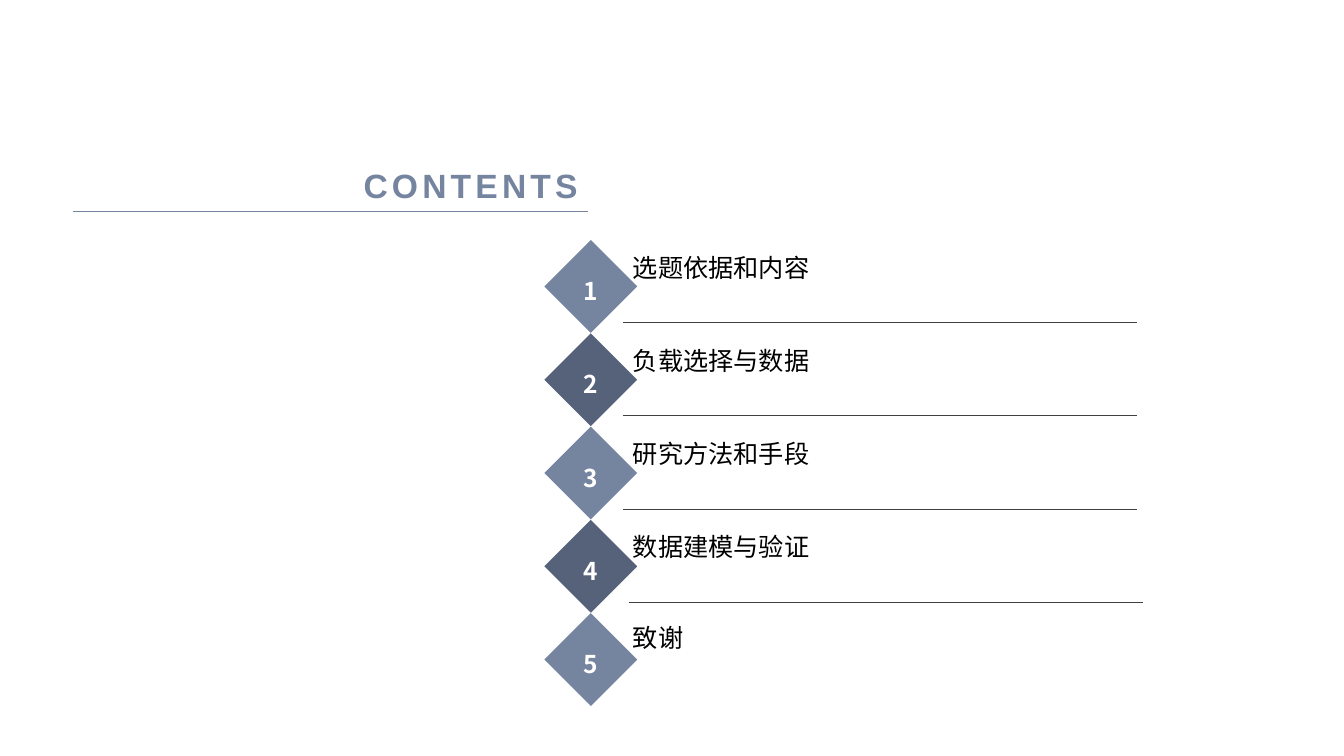
from dataclasses import dataclass

from lxml import etree
from pptx import Presentation
from pptx.dml.color import RGBColor
from pptx.enum.shapes import MSO_CONNECTOR, MSO_SHAPE
from pptx.enum.text import MSO_ANCHOR, MSO_AUTO_SIZE, PP_ALIGN
from pptx.oxml.ns import qn
from pptx.util import Cm, Pt

LEFT, CENTER, RIGHT = PP_ALIGN.LEFT, PP_ALIGN.CENTER, PP_ALIGN.RIGHT
MIDDLE, BOTTOM = MSO_ANCHOR.MIDDLE, MSO_ANCHOR.BOTTOM
DIAMOND, STRAIGHT = MSO_SHAPE.DIAMOND, MSO_CONNECTOR.STRAIGHT
NO_FIT = MSO_AUTO_SIZE.NONE


@dataclass(frozen=True)
class Theme:
    blue: str = "75849F"
    navy: str = "55627A"
    rule: str = "404040"
    ink: str = "000000"
    white: str = "FFFFFF"
    latin: str = "Arial"
    asian: str = "Noto Sans CJK SC"
    title: float = 24
    item: float = 18
    number: float = 17.5
    hair: float = 0.25


THEME = Theme()
TOPICS = ["选题依据和内容", "负载选择与数据", "研究方法和手段", "数据建模与验证", "致谢"]

# Layout in centimetres
STEP = 2.35
MARK_X, MARK_Y, MARK_SIZE = 13.72, 6.05, 2.34
ITEM_X, ITEM_Y, ITEM_W, ITEM_H = 15.7, 5.84, 15.72, 1.5
RULE_Y, RULE_W = 8.12, 12.96
HEAD_X, HEAD_Y, HEAD_W, HEAD_H = 1.83, 3.2, 12.98, 2.11


def color(code):
    return RGBColor.from_string(code)


def write(shape, text, *, size, ink, font=THEME.latin, bold=False, align=LEFT,
          anchor=MIDDLE, leading=1.2, track=0, foot=0.13):
    frame = shape.text_frame
    frame.word_wrap = True
    frame.auto_size = NO_FIT
    frame.vertical_anchor = anchor
    frame.margin_left = frame.margin_right = Cm(0.25)
    frame.margin_top, frame.margin_bottom = Cm(0.13), Cm(foot)
    para = frame.paragraphs[0]
    para.alignment, para.line_spacing = align, leading
    para.space_before = Pt(0)
    run = para.add_run()
    run.text = text
    run.font.size, run.font.bold = Pt(size), bold
    run.font.name = font
    run.font.color.rgb = color(ink)
    # East Asian font and letter spacing
    props = run.font._element
    etree.SubElement(props, qn("a:ea")).set("typeface", THEME.asian)
    if track:
        props.set("spc", str(track * 100))


def add_rule(slide, x, y, width, ink):
    line = slide.shapes.add_connector(STRAIGHT, Cm(x), Cm(y), Cm(x + width), Cm(y))
    line.line.color.rgb = color(ink)
    line.line.width = Pt(THEME.hair)
    etree.SubElement(line._element.spPr, qn("a:effectLst"))


def add_mark(slide, number, y, fill):
    mark = slide.shapes.add_shape(DIAMOND, Cm(MARK_X), Cm(y), Cm(MARK_SIZE), Cm(MARK_SIZE))
    mark.shadow.inherit = False
    mark.fill.solid()
    mark.fill.fore_color.rgb = color(fill)
    mark.line.fill.background()
    write(mark, str(number), size=THEME.number, ink=THEME.white, font=THEME.asian,
          bold=True, align=CENTER, leading=1.3)


def add_item(slide, text, y):
    box = slide.shapes.add_textbox(Cm(ITEM_X), Cm(y), Cm(ITEM_W), Cm(ITEM_H))
    write(box, text, size=THEME.item, ink=THEME.ink, foot=0)


def add_head(slide, text):
    head = slide.shapes.title
    head.left, head.top = Cm(HEAD_X), Cm(HEAD_Y)
    head.width, head.height = Cm(HEAD_W), Cm(HEAD_H)
    write(head, text, size=THEME.title, ink=THEME.blue, bold=True, align=RIGHT,
          anchor=BOTTOM, track=3)
    add_rule(slide, HEAD_X, HEAD_Y + HEAD_H, HEAD_W, THEME.blue)


def main():
    deck = Presentation()
    deck.slide_width, deck.slide_height = Cm(33.87), Cm(19.05)
    slide = deck.slides.add_slide(deck.slide_layouts[5])

    # Heading
    add_head(slide, "CONTENTS")

    # Numbered topics; the last one sits slightly higher
    last = len(TOPICS) - 1
    for i, topic in enumerate(TOPICS):
        drop = i * STEP
        add_mark(slide, i + 1, MARK_Y + drop, THEME.navy if i % 2 else THEME.blue)
        add_item(slide, topic, ITEM_Y + drop - (0.08 if i == last else 0))

    # Rules between topics; the last one is shifted right
    for i in range(last):
        shift = 0.15 if i == last - 1 else 0
        add_rule(slide, ITEM_X + shift, RULE_Y + i * STEP, RULE_W, THEME.rule)

    deck.save("out.pptx")


if __name__ == "__main__":
    main()
